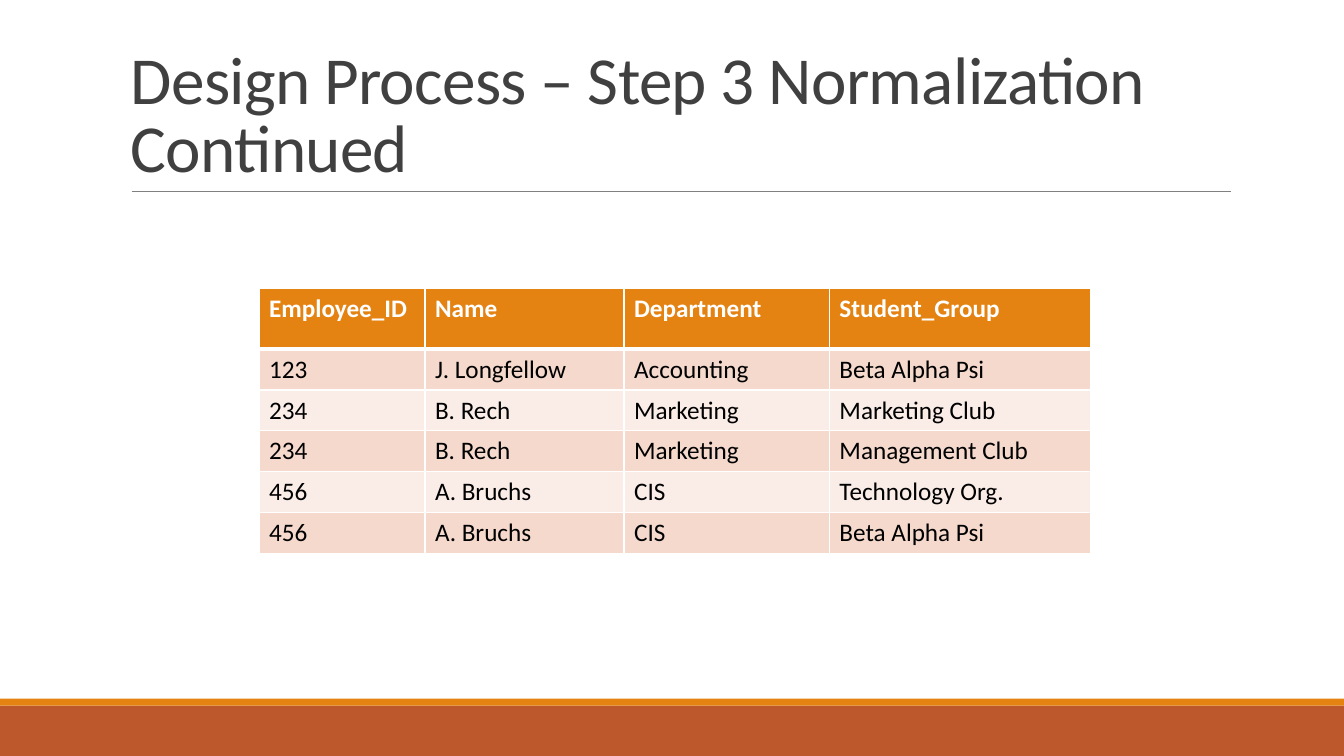
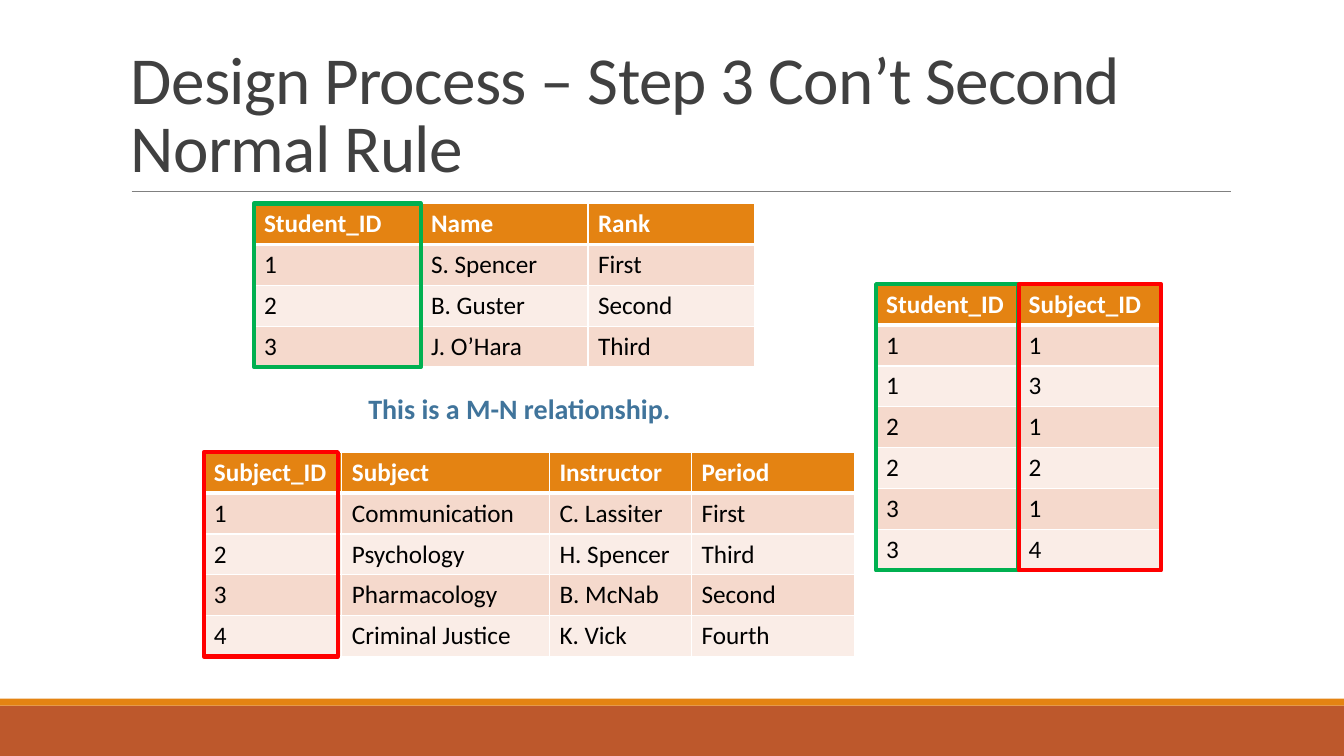
import pptx
import pptx.dml.color
import pptx.enum.shapes
import pptx.enum.text
import pptx.oxml
import pptx.util
from pptx.util import Pt


class Theme:
    font = "Calibri"
    title_size, note_size, table_size = 48, 20, 18
    rust, orange, rule = "BD582C", "E48312", "808080"
    title, note, white, black = "404040", "40749B", "FFFFFF", "000000"
    bands = ("F5D9CC", "FAEDE7")
    student_key, subject_key = "00B050", "FF0000"


SLIDE_WIDTH, SLIDE_HEIGHT = 960, 540
ROW_HEIGHT = 29.2

# "keys" maps a column to the colour of the frame around it.
SLIDES = [
    {
        "title": "Design Process – Step 3 Normalization Continued",
        "tables": [
            {
                "at": (185, 206),
                "columns": (118.6, 142.2, 146.7, 186.5),
                "header_height": 43.4,
                "rows": [
                    ("Employee_ID", "Name", "Department", "Student_Group"),
                    ("123", "J. Longfellow", "Accounting", "Beta Alpha Psi"),
                    ("234", "B. Rech", "Marketing", "Marketing Club"),
                    ("234", "B. Rech", "Marketing", "Management Club"),
                    ("456", "A. Bruchs", "CIS", "Technology Org."),
                    ("456", "A. Bruchs", "CIS", "Beta Alpha Psi"),
                ],
            },
        ],
    },
    {
        "title": "Design Process – Step 3 Con’t Second Normal Rule",
        "note": ("This is a M-N relationship.", (256, 276, 241, 32)),
        "tables": [
            {
                "at": (181.4, 145.4),
                "columns": (119.3, 119.3, 119.3),
                "keys": {0: Theme.student_key},
                "rows": [
                    ("Student_ID", "Name", "Rank"),
                    ("1", "S. Spencer", "First"),
                    ("2", "B. Guster", "Second"),
                    ("3", "J. O’Hara", "Third"),
                ],
            },
            {
                "at": (145.6, 323),
                "columns": (98.6, 148.3, 101.5, 116.6),
                "keys": {0: Theme.subject_key},
                "key_width": 95.8,
                "rows": [
                    ("Subject_ID", "Subject", "Instructor", "Period"),
                    ("1", "Communication", "C. Lassiter", "First"),
                    ("2", "Psychology", "H. Spencer", "Third"),
                    ("3", "Pharmacology", "B. McNab", "Second"),
                    ("4", "Criminal Justice", "K. Vick", "Fourth"),
                ],
            },
            {
                "at": (625.8, 203),
                "columns": (101.8, 101.8),
                "keys": {0: Theme.student_key, 1: Theme.subject_key},
                "rows": [
                    ("Student_ID", "Subject_ID"),
                    ("1", "1"),
                    ("1", "3"),
                    ("2", "1"),
                    ("2", "2"),
                    ("3", "1"),
                    ("3", "4"),
                ],
            },
        ],
    },
]


def rgb(color):
    return pptx.dml.color.RGBColor.from_string(color)


def write(text_frame, text, *, size, color, bold=False, line_spacing=None, tracking=None):
    paragraph = text_frame.paragraphs[0]
    if line_spacing:
        paragraph.line_spacing = line_spacing
    run = paragraph.add_run()
    run.text = text
    run.font.name = Theme.font
    run.font.size = Pt(size)
    run.font.bold = bold
    run.font.color.rgb = rgb(color)
    if tracking:
        run._r.get_or_add_rPr().set("spc", str(round(tracking * 100)))


def add_text(slide, text, box, *, wrap=True, anchor="TOP", **text_format):
    shape = slide.shapes.add_textbox(*map(Pt, box))
    shape.text_frame.word_wrap = wrap
    shape.text_frame.vertical_anchor = getattr(pptx.enum.text.MSO_ANCHOR, anchor)
    write(shape.text_frame, text, **text_format)


def add_rectangle(slide, box, *, fill=None, line=None, line_width=3):
    shape = slide.shapes.add_shape(
        pptx.enum.shapes.MSO_SHAPE.RECTANGLE, *map(Pt, box))
    shape.shadow.inherit = False
    for part, color in ((shape.fill, fill), (shape.line.fill, line)):
        if color:
            part.solid()
            part.fore_color.rgb = rgb(color)
        else:
            part.background()
    if line:
        shape.line.width = Pt(line_width)


def add_frame_parts(slide, title):
    """Draw the bands, the title and the rule under it."""
    add_rectangle(slide, (0, 504, SLIDE_WIDTH, 36), fill=Theme.rust)
    add_rectangle(slide, (0, 499, SLIDE_WIDTH, 5), fill=Theme.orange)
    rule = slide.shapes.add_connector(
        pptx.enum.shapes.MSO_CONNECTOR.STRAIGHT, Pt(94), Pt(136.8), Pt(879), Pt(136.8))
    rule.line.color.rgb = rgb(Theme.rule)
    rule.line.width = Pt(0.5)
    rule._element.spPr.append(pptx.oxml.parse_xml(
        f"<a:effectLst {pptx.oxml.ns.nsdecls('a')}/>"))
    add_text(slide, title, (86.4, 22.6, 792, 114.2), anchor="BOTTOM",
             size=Theme.title_size, color=Theme.title,
             line_spacing=0.85, tracking=-0.5)


def set_borders(cell, top, bottom):
    properties = cell._tc.get_or_add_tcPr()
    for side, width in (("L", 1), ("R", 1), ("T", top), ("B", bottom)):
        properties.append(pptx.oxml.parse_xml(
            f"<a:ln{side} {pptx.oxml.ns.nsdecls('a')} w='{int(Pt(width))}'>"
            f"<a:solidFill><a:srgbClr val='{Theme.white}'/></a:solidFill></a:ln{side}>"))


def add_table(slide, content):
    rows, widths = content["rows"], content["columns"]
    heights = [content.get("header_height", ROW_HEIGHT)] + [ROW_HEIGHT] * (len(rows) - 1)
    left, top = content["at"]
    table = slide.shapes.add_table(
        len(rows), len(widths), *map(Pt, (left, top, sum(widths), sum(heights)))).table
    table.horz_banding = False
    for column, width in zip(table.columns, widths):
        column.width = Pt(width)
    for row_index, (row, height) in enumerate(zip(rows, heights)):
        table.rows[row_index].height = Pt(height)
        header = row_index == 0
        fill = Theme.orange if header else Theme.bands[(row_index - 1) % 2]
        for column_index, text in enumerate(row):
            cell = table.cell(row_index, column_index)
            set_borders(cell, top=3 if row_index == 1 else 1, bottom=3 if header else 1)
            cell.fill.solid()
            cell.fill.fore_color.rgb = rgb(fill)
            write(cell.text_frame, text, size=Theme.table_size, bold=header,
                  color=Theme.white if header else Theme.black)
    for column_index, color in content.get("keys", {}).items():
        key_left = left + sum(widths[:column_index])
        key_width = content.get("key_width", widths[column_index])
        add_rectangle(slide, (key_left, top, key_width, sum(heights)), line=color)


def main():
    presentation = pptx.Presentation()
    presentation.slide_width = Pt(SLIDE_WIDTH)
    presentation.slide_height = Pt(SLIDE_HEIGHT)
    for content in SLIDES:
        slide = presentation.slides.add_slide(presentation.slide_layouts[6])
        add_frame_parts(slide, content["title"])
        for table in content["tables"]:
            add_table(slide, table)
        if "note" in content:
            text, box = content["note"]
            add_text(slide, text, box, wrap=False, size=Theme.note_size,
                     color=Theme.note, bold=True)
    presentation.save("out.pptx")


if __name__ == "__main__":
    main()
